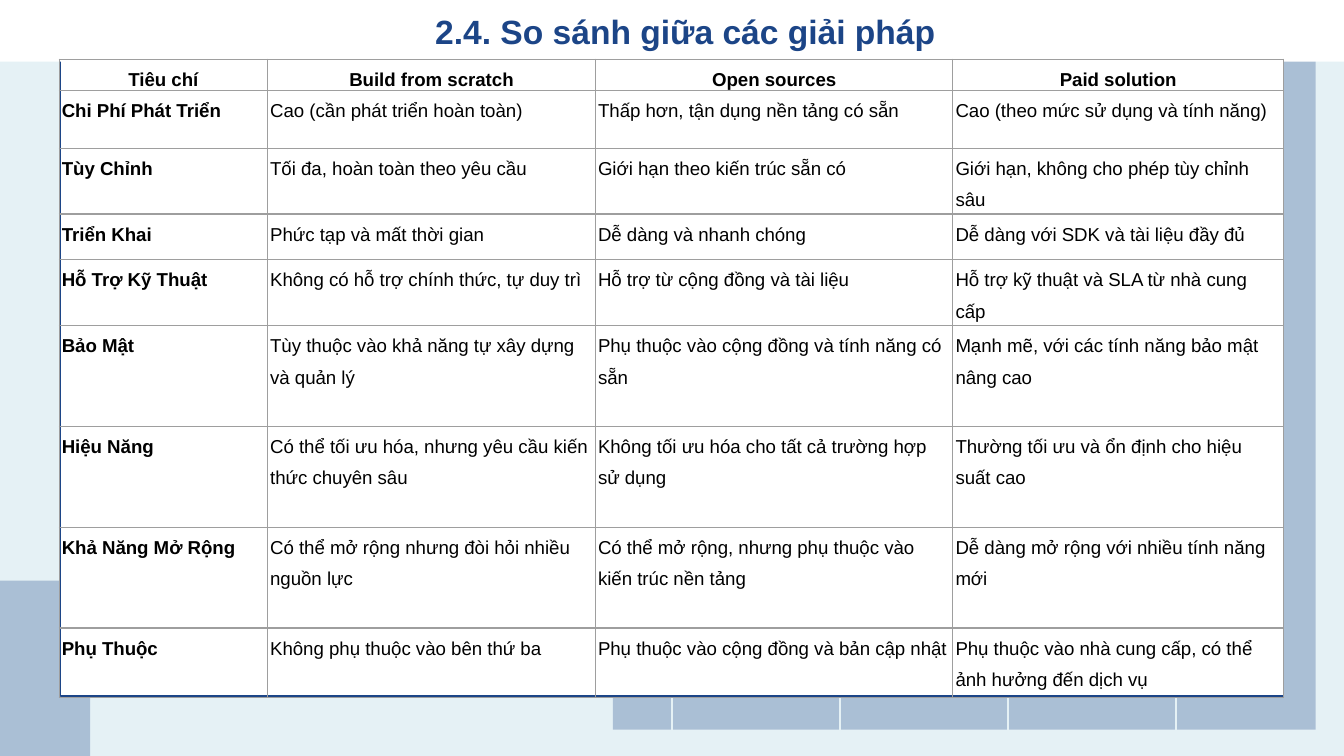
import pptx
import pptx.dml.color
import pptx.enum.shapes
import pptx.enum.text
import pptx.oxml
import pptx.oxml.ns
import pptx.util

Inches = pptx.util.Inches
Pt = pptx.util.Pt
RGBColor = pptx.dml.color.RGBColor
PP_ALIGN = pptx.enum.text.PP_ALIGN
MSO_SHAPE = pptx.enum.shapes.MSO_SHAPE
MSO_CONNECTOR = pptx.enum.shapes.MSO_CONNECTOR
NS = pptx.oxml.ns.nsdecls("a")

ICE = RGBColor(0xE5, 0xF1, 0xF5)
NAVY = RGBColor(0x1C, 0x45, 0x87)
WHITE = RGBColor(0xFF, 0xFF, 0xFF)
BLACK = RGBColor(0, 0, 0)
GRAY = RGBColor(0x9E, 0x9E, 0x9E)

TITLE = "2.4. So sánh giữa các giải pháp"
COLUMN_WIDTHS = [1.55, 2.44, 2.66, 2.46]
ROW_HEIGHTS = [0.23, 0.43, 0.49, 0.34, 0.49, 0.75, 0.75, 0.75, 0.52]
ROWS = [
    ["Tiêu chí", "Build from scratch", "Open sources", "Paid solution"],
    ["Chi Phí Phát Triển", "Cao (cần phát triển hoàn toàn)",
     "Thấp hơn, tận dụng nền tảng có sẵn", "Cao (theo mức sử dụng và tính năng)"],
    ["Tùy Chỉnh", "Tối đa, hoàn toàn theo yêu cầu",
     "Giới hạn theo kiến trúc sẵn có", "Giới hạn, không cho phép tùy chỉnh sâu"],
    ["Triển Khai", "Phức tạp và mất thời gian",
     "Dễ dàng và nhanh chóng", "Dễ dàng với SDK và tài liệu đầy đủ"],
    ["Hỗ Trợ Kỹ Thuật", "Không có hỗ trợ chính thức, tự duy trì",
     "Hỗ trợ từ cộng đồng và tài liệu", "Hỗ trợ kỹ thuật và SLA từ nhà cung cấp"],
    ["Bảo Mật", "Tùy thuộc vào khả năng tự xây dựng và quản lý",
     "Phụ thuộc vào cộng đồng và tính năng có sẵn",
     "Mạnh mẽ, với các tính năng bảo mật nâng cao"],
    ["Hiệu Năng", "Có thể tối ưu hóa, nhưng yêu cầu kiến thức chuyên sâu",
     "Không tối ưu hóa cho tất cả trường hợp sử dụng",
     "Thường tối ưu và ổn định cho hiệu suất cao"],
    ["Khả Năng Mở Rộng", "Có thể mở rộng nhưng đòi hỏi nhiều nguồn lực",
     "Có thể mở rộng, nhưng phụ thuộc vào kiến trúc nền tảng",
     "Dễ dàng mở rộng với nhiều tính năng mới"],
    ["Phụ Thuộc", "Không phụ thuộc vào bên thứ ba",
     "Phụ thuộc vào cộng đồng và bản cập nhật",
     "Phụ thuộc vào nhà cung cấp, có thể ảnh hưởng đến dịch vụ"],
]


def set_attributes(target, values):
    for name, value in values.items():
        setattr(target, name, value)


def add_rect(s, box, color, alpha=None, line=None):
    sp = s.shapes.add_shape(MSO_SHAPE.RECTANGLE, *map(Inches, box))
    sp.shadow.inherit = False
    sp.fill.solid()
    sp.fill.fore_color.rgb = color
    if alpha:
        clr = sp._element.spPr.find(".//" + pptx.oxml.ns.qn("a:srgbClr"))
        clr.append(pptx.oxml.parse_xml(f'<a:alpha {NS} val="{alpha * 1000}"/>'))
    if line:
        sp.line.color.rgb = line
        sp.line.width = Pt(0.75)
    else:
        sp.line.fill.background()
    return sp


def add_vertical(s, x, top, bottom):
    line = s.shapes.add_connector(
        MSO_CONNECTOR.STRAIGHT, *map(Inches, (x, top, x, bottom)))
    line.line.color.rgb = ICE
    line.line.width = Pt(0.75)
    line._element.spPr.append(pptx.oxml.parse_xml(f'<a:effectLst {NS}/>'))


def add_backdrop(s, left, top, width, height):
    s.background.fill.solid()
    s.background.fill.fore_color.rgb = ICE
    add_rect(s, (left - 0.25, top + 4.32, 0.92, 1.41), NAVY, alpha=29)
    add_rect(s, (left + 4.56, top + 0.2, 5.23, 5.23), NAVY, alpha=29)
    for i in range(1, 8):
        add_vertical(s, left + i * width / 8, top - 0.1, top + height + 0.04)
    for i in range(5):
        start = top - 4.38 + i * 1.18
        add_vertical(s, left + width / 2, start, start + 9.65)
    add_rect(s, (left + 0.45, top + 0.45, width - 0.9, 4.73), WHITE, line=NAVY)


def add_title(s, left, top, width, height):
    sp = add_rect(s, (left, top, width, height), WHITE)
    tf = sp.text_frame
    set_attributes(tf, {"word_wrap": True,
                        "vertical_anchor": pptx.enum.text.MSO_ANCHOR.MIDDLE})
    p = tf.paragraphs[0]
    p.alignment = PP_ALIGN.CENTER
    p._p.get_or_add_pPr().set("marL", str(Inches(0.2)))
    r = p.add_run()
    r.text = TITLE
    set_attributes(r.font, {"name": "Arial", "size": Pt(18), "bold": True})
    r.font.color.rgb = NAVY


def add_borders(cell):
    tcPr = cell._tc.get_or_add_tcPr()
    for side in ("lnL", "lnR", "lnT", "lnB"):
        tcPr.append(pptx.oxml.parse_xml(
            f'<a:{side} {NS} w="{Pt(0.75)}"><a:solidFill>'
            f'<a:srgbClr val="{GRAY}"/></a:solidFill></a:{side}>'))


def add_comparison(s, left, top):
    frame = s.shapes.add_table(
        len(ROWS), len(COLUMN_WIDTHS), Inches(left), Inches(top),
        Inches(sum(COLUMN_WIDTHS)), Inches(sum(ROW_HEIGHTS)))
    table = frame.table
    set_attributes(table, {"first_row": False, "horz_banding": False})
    for column, width in zip(table.columns, COLUMN_WIDTHS):
        column.width = Inches(width)
    for i, (height, texts) in enumerate(zip(ROW_HEIGHTS, ROWS)):
        table.rows[i].height = Inches(height)
        for j, text in enumerate(texts):
            cell = table.cell(i, j)
            set_attributes(cell, {
                "margin_left": Inches(0.02), "margin_right": Inches(0.02),
                "margin_top": 0, "margin_bottom": 0})
            add_borders(cell)
            cell.fill.background()
            p = cell.text_frame.paragraphs[0]
            set_attributes(p, {
                "line_spacing": 1.5,
                "alignment": PP_ALIGN.CENTER if i == 0 else PP_ALIGN.LEFT})
            r = p.add_run()
            r.text = text
            set_attributes(r.font, {
                "name": "Arial", "size": Pt(10), "bold": i == 0 or j == 0})
            r.font.color.rgb = BLACK


def main():
    prs = pptx.Presentation()
    set_attributes(prs, {"slide_width": Inches(10),
                         "slide_height": Inches(10) * 9 // 16})
    s = prs.slides.add_slide(prs.slide_layouts[6])
    add_backdrop(s, 0, 0, 10, 5.62)
    add_title(s, 0, 0, 10, 0.46)
    add_comparison(s, 0.44, 0.44)
    prs.save("out.pptx")


if __name__ == "__main__":
    main()
